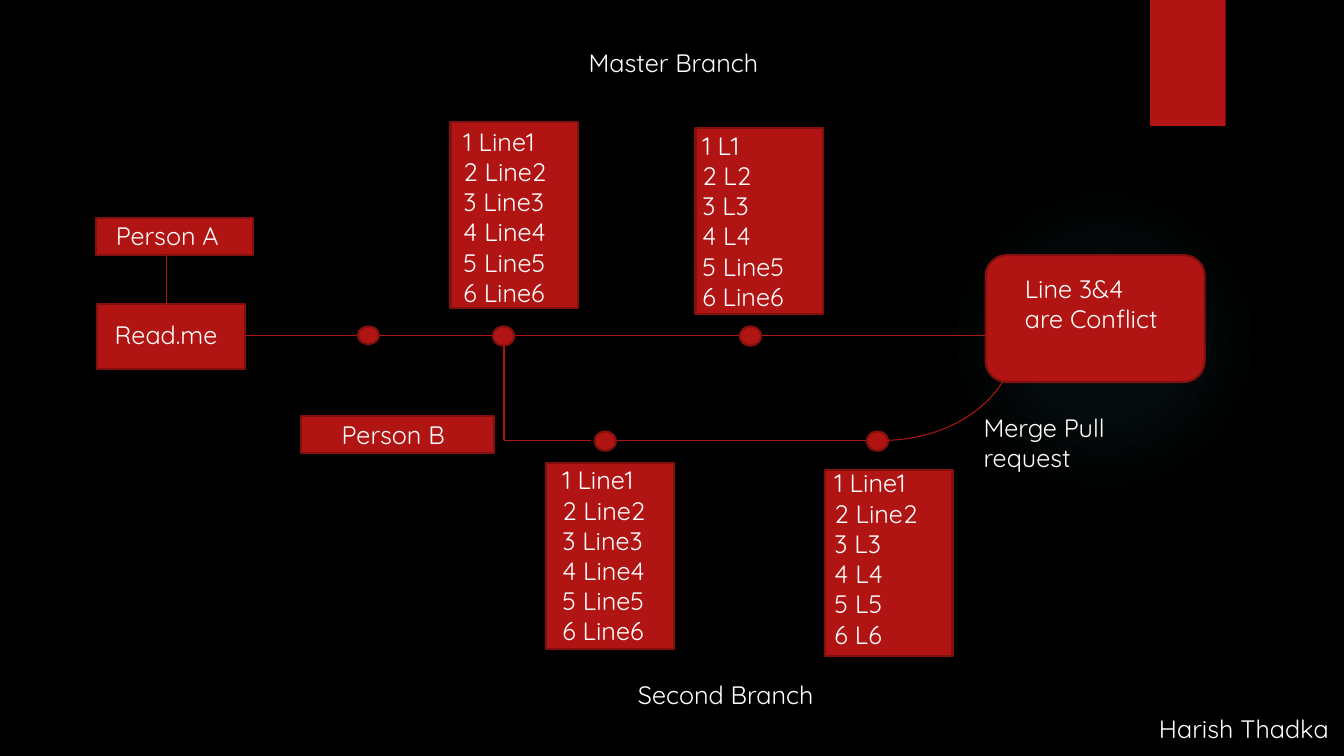
import lxml.etree
import pptx
import pptx.dml.color
import pptx.enum.shapes
import pptx.oxml
import pptx.oxml.ns
import pptx.util

Pt = pptx.util.Pt
RGBColor = pptx.dml.color.RGBColor
SHAPE = pptx.enum.shapes.MSO_SHAPE
qn = pptx.oxml.ns.qn

BLACK = RGBColor(0x00, 0x00, 0x00)
WHITE = RGBColor(0xFF, 0xFF, 0xFF)
RED = RGBColor(0xB0, 0x15, 0x13)
DARK_RED = RGBColor(0x82, 0x10, 0x0E)
TEAL = RGBColor(0x50, 0xB9, 0xC1)

MASTER_Y = 239.6
SECOND_Y = 314.6
FORK_X = 360


def format_run(p, text, font="Quicksand", size=18, color=WHITE):
    r = p.add_run()
    r.text = text
    r.font.name = font
    r.font.size = Pt(size)
    r.font.color.rgb = color


class Diagram:
    def __init__(self, slide):
        self.slide = slide
        slide.background.fill.solid()
        slide.background.fill.fore_color.rgb = BLACK

    def shape(self, kind, x, y, w, h, fill=RED, line=DARK_RED, width=1.5):
        sp = self.slide.shapes.add_shape(kind, Pt(x), Pt(y), Pt(w), Pt(h))
        sp.shadow.inherit = False
        if fill is None:
            sp.fill.background()
        else:
            sp.fill.solid()
            sp.fill.fore_color.rgb = fill
        if line is None:
            sp.line.fill.background()
        else:
            sp.line.color.rgb = line
            sp.line.width = Pt(width)
        return sp

    def glow(self, x, y, size):
        """Draw a faint circle that fades out from its centre."""
        sp = self.shape(SHAPE.OVAL, x, y, size, size, fill=TEAL, line=None)
        stops = "".join(
            f'<a:gs pos="{pos}000"><a:srgbClr val="{TEAL}">'
            f'<a:alpha val="{alpha}000"/></a:srgbClr></a:gs>'
            for pos, alpha in ((0, 7), (36, 6), (69, 0)))
        grad = pptx.oxml.parse_xml(
            f'<a:gradFill {pptx.oxml.ns.nsdecls("a")}><a:gsLst>{stops}</a:gsLst>'
            '<a:path path="circle"><a:fillToRect l="50000" t="50000" '
            'r="50000" b="50000"/></a:path></a:gradFill>')
        solid = sp.element.spPr.find(qn("a:solidFill"))
        sp.element.spPr.replace(solid, grad)

    def line(self, x1, y1, x2, y2):
        c = self.slide.shapes.add_connector(
            pptx.enum.shapes.MSO_CONNECTOR.STRAIGHT, Pt(x1), Pt(y1), Pt(x2), Pt(y2))
        c.line.color.rgb = RED
        c.line.width = Pt(0.75)
        lxml.etree.SubElement(c.element.spPr, qn("a:effectLst"))

    def commit(self, x, y, h=13.7):
        self.shape(SHAPE.FLOWCHART_CONNECTOR, x, y - 6.4, 15.1, h)

    def merge_curve(self, x, y, w, h):
        sp = self.shape(SHAPE.ARC, x, y, w, h, fill=None, line=RED, width=0.75)
        # Quarter turn from 0 to 90 degrees
        sp.adjustments[0] = 0
        sp.adjustments[1] = 54

    def text(self, x, y, w, h, *lines, wrap=True):
        tf = self.slide.shapes.add_textbox(Pt(x), Pt(y), Pt(w), Pt(h)).text_frame
        tf.word_wrap = wrap
        for i, line in enumerate(lines):
            p = tf.paragraphs[0] if i == 0 else tf.add_paragraph()
            format_run(p, line)

    def file_version(self, box, text_at, edited=()):
        """Draw the six-line file, with the edited lines shortened to L."""
        self.shape(SHAPE.RECTANGLE, *box, 91.4, 133.2)
        lines = [f"{n} {'L' if n in edited else 'Line'}{n}" for n in range(1, 7)]
        self.text(*text_at, 91.4, 138.2, *lines)


def main():
    prs = pptx.Presentation()
    prs.slide_width, prs.slide_height = Pt(960), Pt(540)
    d = Diagram(prs.slides.add_slide(prs.slide_layouts[6]))

    d.glow(677.5, 131.8, 221.8)
    d.shape(SHAPE.RECTANGLE, 821.5, 0, 54, 90, line=None)

    # Branch lines, commits and merge
    for x1, x2 in ((175, 256), (270.7, 352), (367.2, 528.5), (538.6, 729.4)):
        d.line(x1, MASTER_Y, x2, MASTER_Y)
    d.line(FORK_X, 245.5, FORK_X, SECOND_Y)
    for x1, x2 in ((FORK_X, 422), (440.6, 619.2)):
        d.line(x1, SECOND_Y, x2, SECOND_Y)
    d.commit(255.6, MASTER_Y, h=12.5)
    for x, y in ((352.1, MASTER_Y), (528.5, MASTER_Y),
                 (424.8, SECOND_Y), (619.2, SECOND_Y)):
        d.commit(x, y)
    d.merge_curve(535, 165.6, 190.8, 149)

    # File contents at each commit
    d.file_version((321.8, 87.1), (324, 86.4))
    d.file_version((390.2, 330.5), (394.6, 328.3))
    d.file_version((496.8, 91.4), (494.6, 89.3), edited=(1, 2, 3, 4))
    d.file_version((589, 335.5), (589, 330.5), edited=(3, 4, 5, 6))

    # Boxes and their labels
    d.shape(SHAPE.RECTANGLE, 69.1, 217.4, 105.8, 46.4)
    d.text(74.9, 224.8, 124, 29, "Read.me")
    d.shape(SHAPE.FLOWCHART_ALTERNATE_PROCESS, 704, 182.2, 156.5, 90.7)
    d.text(725, 191.5, 111, 72.7, "Line 3&4 are Conflict")
    d.shape(SHAPE.RECTANGLE, 68.4, 155.7, 112.3, 26.2)
    d.text(75.6, 153.6, 137.5, 29, "Person A")
    d.shape(SHAPE.RECTANGLE, 215, 297.4, 137.7, 26.2)
    d.text(237, 296, 137.5, 29, "Person B")
    d.line(118.8, 182.2, 118.8, 221)

    d.text(695.5, 291, 114.5, 51, "Merge Pull request")
    d.text(413.3, 30.4, 171.4, 29, "Master Branch")
    d.text(448.6, 481.7, 171.4, 29, "Second Branch")
    d.text(820.8, 506.2, 139, 29, "Harish Thadka", wrap=False)

    prs.save("out.pptx")


if __name__ == "__main__":
    main()
